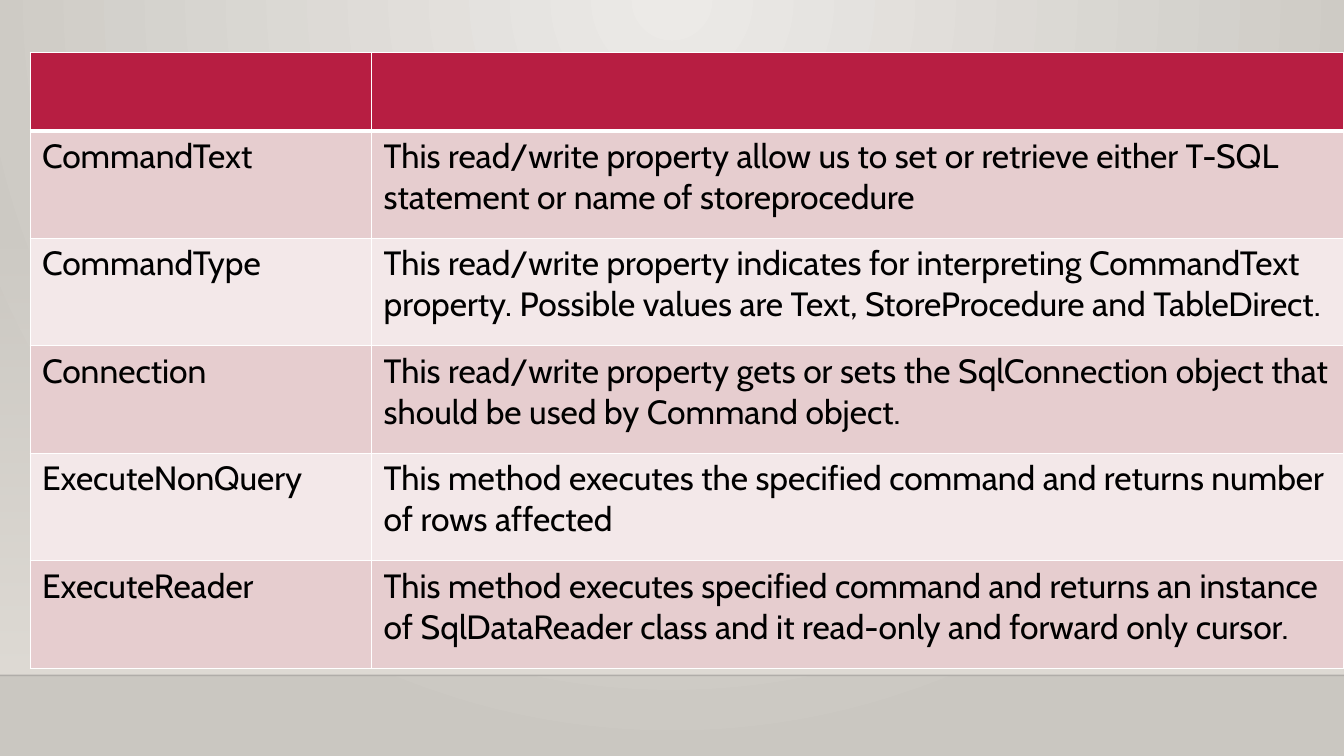
from lxml import etree
from pptx import Presentation
from pptx.dml.color import RGBColor
from pptx.enum.shapes import MSO_CONNECTOR, MSO_SHAPE
from pptx.oxml.ns import qn
from pptx.util import Cm, Pt

RECTANGLE = MSO_SHAPE.RECTANGLE
STRAIGHT = MSO_CONNECTOR.STRAIGHT

WIDTH, HEIGHT = 33.87, 19.05
FONT = "Cabin"
COLOURS = {
    "glow": "ECEAE7",
    "backdrop": "CAC7C1",
    "wall": "DFDBD5",
    "floor_line": "000001",
    "header": "B71E42",
    "odd_row": "E6CDCF",
    "even_row": "F3E8E9",
    "border": "FFFFFF",
    "text": "000000",
}
MEMBERS = [
    ("CommandText", "This read/write property allow us to set or retrieve either "
     "T-SQL statement or name of storeprocedure"),
    ("CommandType", "This read/write property indicates for interpreting CommandText "
     "property. Possible values are Text, StoreProcedure and TableDirect."),
    ("Connection", "This read/write property gets or sets the SqlConnection object "
     "that should be used by Command object."),
    ("ExecuteNonQuery", "This method executes the specified command and returns "
     "number of rows affected"),
    ("ExecuteReader", "This method executes specified command and returns an instance "
     "of SqlDataReader class and it read-only and forward only cursor."),
]


def colour(name):
    """Return the named colour."""
    return RGBColor.from_string(COLOURS[name])


def add_alpha(parent, percent):
    """Set the opacity of the colour found inside an element."""
    rgb = next(parent.iter(qn("a:srgbClr")))
    etree.SubElement(rgb, qn("a:alpha"), val=str(percent * 1000))


def set_gradient(fill, start, end):
    """Give a fill two gradient stops and a downward direction."""
    fill.gradient()
    fill.gradient_angle = 270
    for stop, name, position in zip(fill.gradient_stops, (start, end), (0, 1)):
        stop.color.rgb = colour(name)
        stop.position = position


def paint_background(slide):
    """Fill the background with a round glow from the top centre."""
    set_gradient(slide.background.fill, "glow", "backdrop")
    gradient = next(slide.element.iter(qn("a:gradFill")))
    gradient.remove(gradient.find(qn("a:lin")))
    glow = etree.SubElement(gradient, qn("a:path"), {"path": "circle"})
    etree.SubElement(glow, qn("a:fillToRect"), l="43000", t="0", r="43000", b="100000")


def add_wall(slide, left, top, width, height):
    """Add a wall that fades in downwards, with a faint line at its foot."""
    wall = slide.shapes.add_shape(RECTANGLE, Cm(left), Cm(top), Cm(width), Cm(height))
    wall.shadow.inherit = False
    wall.line.fill.background()
    set_gradient(wall.fill, "wall", "wall")
    add_alpha(next(wall.element.iter(qn("a:gs"))), 0)

    foot = Cm(top + height)
    line = slide.shapes.add_connector(STRAIGHT, Cm(left), foot, Cm(left + width), foot)
    line.line.width = Pt(1)
    line.line.color.rgb = colour("floor_line")
    properties = line.element.spPr
    add_alpha(properties, 20)
    etree.SubElement(properties, qn("a:effectLst"))


def style_cell(cell, fill_name, top_width, bottom_width):
    """Set the borders, fill and margins of a cell."""
    properties = cell._tc.get_or_add_tcPr()
    widths = {"lnL": 1, "lnR": 1, "lnT": top_width, "lnB": bottom_width}
    for side, width in widths.items():
        border = etree.SubElement(properties, qn("a:" + side), w=str(Pt(width)))
        solid = etree.SubElement(border, qn("a:solidFill"))
        etree.SubElement(solid, qn("a:srgbClr"), val=COLOURS["border"])
    cell.fill.solid()
    cell.fill.fore_color.rgb = colour(fill_name)
    cell.margin_left = cell.margin_right = Cm(0.3)
    cell.margin_top = cell.margin_bottom = Cm(0.13)


def add_member_table(slide, left, top, width, height):
    """Add the table of command members below an empty header row."""
    rows = [("", "")] + MEMBERS
    name_width, header_height = 8.61, 1.98
    table = slide.shapes.add_table(
        len(rows), 2, Cm(left), Cm(top), Cm(width), Cm(height)).table
    table.columns[0].width = Cm(name_width)
    table.columns[1].width = Cm(width - name_width)
    row_height = (height - header_height) / len(MEMBERS)

    for index, texts in enumerate(rows):
        table.rows[index].height = Cm(row_height if index else header_height)
        if index == 0:
            fill_name = "header"
        else:
            fill_name = "odd_row" if index % 2 else "even_row"
        for cell, text in zip(table.rows[index].cells, texts):
            style_cell(cell, fill_name, 3 if index == 1 else 1, 3 if index == 0 else 1)
            cell.text = text
            font = cell.text_frame.paragraphs[0].font
            font.name = FONT
            font.size = Pt(24)
            font.bold = False
            font.color.rgb = colour("text")


def main():
    """Build and save the presentation."""
    presentation = Presentation()
    presentation.slide_width, presentation.slide_height = Cm(WIDTH), Cm(HEIGHT)
    slide = presentation.slides.add_slide(presentation.slide_layouts[6])
    paint_background(slide)
    add_wall(slide, 0, 5.61, WIDTH, 11.41)
    add_member_table(slide, 0.76, 1.32, 33.1, 15.52)
    presentation.save("out.pptx")


main()
